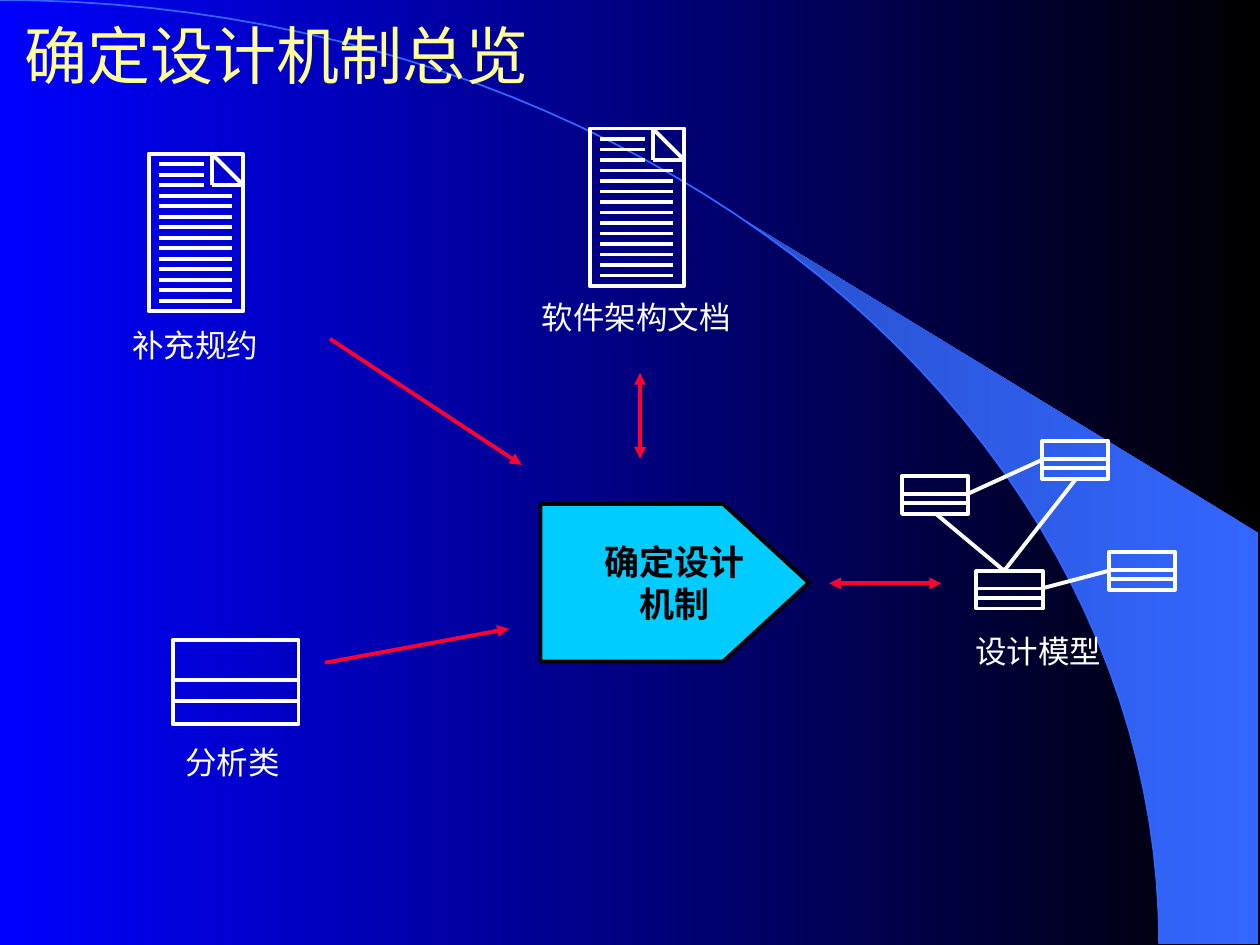
from math import asin, cos, pi, sin

from pptx import Presentation
from pptx.dml.color import RGBColor
from pptx.enum.shapes import MSO_CONNECTOR, MSO_SHAPE
from pptx.enum.text import MSO_ANCHOR, MSO_AUTO_SIZE, PP_ALIGN
from pptx.oxml.ns import qn
from pptx.util import Inches, Pt
from lxml.etree import SubElement

BLACK = RGBColor(0x00, 0x00, 0x00)
WHITE = RGBColor(0xFF, 0xFF, 0xFF)
BLUE = RGBColor(0x00, 0x00, 0xFF)
SKY = RGBColor(0x33, 0x66, 0xFF)
DEEP_SKY = RGBColor(0x28, 0x51, 0xCC)
CYAN = RGBColor(0x00, 0xCC, 0xFF)
RED = RGBColor(0xFF, 0x00, 0x33)
YELLOW = RGBColor(0xFF, 0xFF, 0x99)

prs = Presentation()
prs.slide_width, prs.slide_height = Inches(10), Inches(7.5)
UNIT = prs.slide_width // 100  # the slide is a grid of 100 columns by 75 rows
s = prs.slides.add_slide(prs.slide_layouts[6])


def grid(*values):
    return [round(v * UNIT) for v in values]


def add_line(start, end, color=WHITE, arrows=()):
    """Draw a straight line; arrows names its ends that carry a triangle."""
    c = s.shapes.add_connector(MSO_CONNECTOR.STRAIGHT, *grid(*start, *end))
    c.line.color.rgb = color
    c.line.width = Pt(2.25)
    for name in arrows:
        SubElement(c.line._get_or_add_ln(), qn(f"a:{name}"), type="triangle")
    SubElement(c._element.spPr, qn("a:effectLst"))


# Background and the swoosh along a quarter ellipse
bg_fill = s.background.fill
bg_fill.gradient()
RX, RY = 92, 74.9
fold_angle = asin(58.9 / RX)
STEPS = 48
arcs = []
for first in (fold_angle, 0):
    angles = [first + (pi / 2 - first) * i / STEPS for i in range(STEPS + 1)]
    arcs.append([grid(RX * sin(a), RY * (1 - cos(a))) for a in angles])
swoosh_edge, full_arc = arcs

corner = [grid(99.9, 74.9), grid(99.9, 42.3)]
builder = s.shapes.build_freeform(*swoosh_edge[0])
builder.add_line_segments(swoosh_edge[1:] + corner, close=True)
swoosh = builder.convert_to_shape()
swoosh.shadow.inherit = False
swoosh.line.fill.background()
swoosh.fill.gradient()

for fill, colors in ((bg_fill, (BLACK, BLUE)), (swoosh.fill, (SKY, DEEP_SKY))):
    fill.gradient_angle = 180
    for stop, color, position in zip(fill.gradient_stops, colors, (0, 1)):
        stop.color.rgb = color
        stop.position = position

builder = s.shapes.build_freeform(*full_arc[0])
builder.add_line_segments(full_arc[1:], close=False)
arc = builder.convert_to_shape()
arc.shadow.inherit = False
arc.fill.background()
arc.line.color.rgb = SKY
arc.line.width = Pt(1)

# Title
tf = s.shapes.add_textbox(*grid(1, 1.4, 98.4, 5.8)).text_frame
tf.word_wrap = True
tf.vertical_anchor = MSO_ANCHOR.MIDDLE
p = tf.paragraphs[0]
p.text = "确定设计机制总览"
p.font.size = Pt(36)
p.font.name = "Arial Narrow"
p.font.color.rgb = YELLOW

# Central activity
builder = s.shapes.build_freeform(*grid(42.9, 40))
builder.add_line_segments(
    [grid(*pt) for pt in ((57.4, 40), (64.2, 46.25), (57.4, 52.5), (42.9, 52.5))], close=True)
activity = builder.convert_to_shape()
activity.shadow.inherit = False
activity.fill.solid()
activity.fill.fore_color.rgb = CYAN
activity.line.color.rgb = BLACK
activity.line.width = Pt(2.25)
tf = activity.text_frame
tf.word_wrap = False
tf.vertical_anchor = MSO_ANCHOR.MIDDLE
tf.text = "确定设计\n机制"
for p in tf.paragraphs:
    p.alignment = PP_ALIGN.CENTER
    p.font.size = Pt(20)
    p.font.bold = True
    p.font.name = "Arial"
    p.font.color.rgb = BLACK

# Frames of documents and classes
PAGE_W, PAGE_H = 7.5, 12.5
CLASS_W, CLASS_H = 5.25, 3
documents = [(11.8, 12.2), (46.8, 10.2)]
model_classes = [(71.6, 37.8), (82.7, 35), (77.5, 45.3), (88, 43.8)]
classes = [(x, y, CLASS_W, CLASS_H) for x, y in model_classes] + [(13.7, 50.8, 10, 6.7)]
for box in [(x, y, PAGE_W, PAGE_H) for x, y in documents] + classes:
    frame = s.shapes.add_shape(MSO_SHAPE.RECTANGLE, *grid(*box))
    frame.shadow.inherit = False
    frame.fill.background()
    frame.line.color.rgb = WHITE
    frame.line.width = Pt(2.25)

# Folded corner and lines of writing on each document
FOLD = PAGE_W / 3
PITCH = PAGE_H / 15
for x, y in documents:
    top, inner, right = (x + PAGE_W - FOLD, y), (x + PAGE_W - FOLD, y + FOLD), (x + PAGE_W, y + FOLD)
    for start, end in ((top, right), (top, inner), (right, inner)):
        add_line(start, end)
    for row in range(1, 15):
        length = 3.6 if row <= 3 else 5.8
        line_y = y + row * PITCH
        add_line((x + 0.8, line_y), (x + 0.8 + length, line_y))

# Compartments of each class
for x, y, w, h in classes:
    for share in (0.47, 0.72):
        add_line((x, y + share * h), (x + w, y + share * h))

# Associations in the design model
for start, end in (
    ((79.7, 45.3), (74.3, 40.8)),
    ((76.8, 39.2), (82.7, 36.5)),
    ((82.7, 46.7), (88, 45.3)),
    ((79.7, 45.3), (85.4, 38)),
):
    add_line(start, end)

# Flows into and out of the activity
for start, end, arrows in (
    ((50.8, 29.6), (50.8, 36.4), ("headEnd", "tailEnd")),
    ((74.7, 46.3), (65.8, 46.3), ("headEnd", "tailEnd")),
    ((40.4, 49.9), (25.8, 52.6), ("headEnd",)),
    ((41.4, 36.9), (26.2, 26.9), ("headEnd",)),
):
    add_line(start, end, RED, arrows)

# Labels
for text, x, y, w in (
    ("补充规约", 9.5, 25.4, 12),
    ("软件架构文档", 42, 23.2, 17),
    ("设计模型", 76.4, 49.7, 12),
    ("分析类", 13.7, 58.5, 9.5),
):
    tf = s.shapes.add_textbox(*grid(x, y, w, 4)).text_frame
    tf.word_wrap = False
    tf.auto_size = MSO_AUTO_SIZE.SHAPE_TO_FIT_TEXT
    p = tf.paragraphs[0]
    p.text = text
    p.alignment = PP_ALIGN.CENTER
    p.font.size = Pt(18)
    p.font.name = "Arial"
    p.font.color.rgb = WHITE

prs.save("out.pptx")
